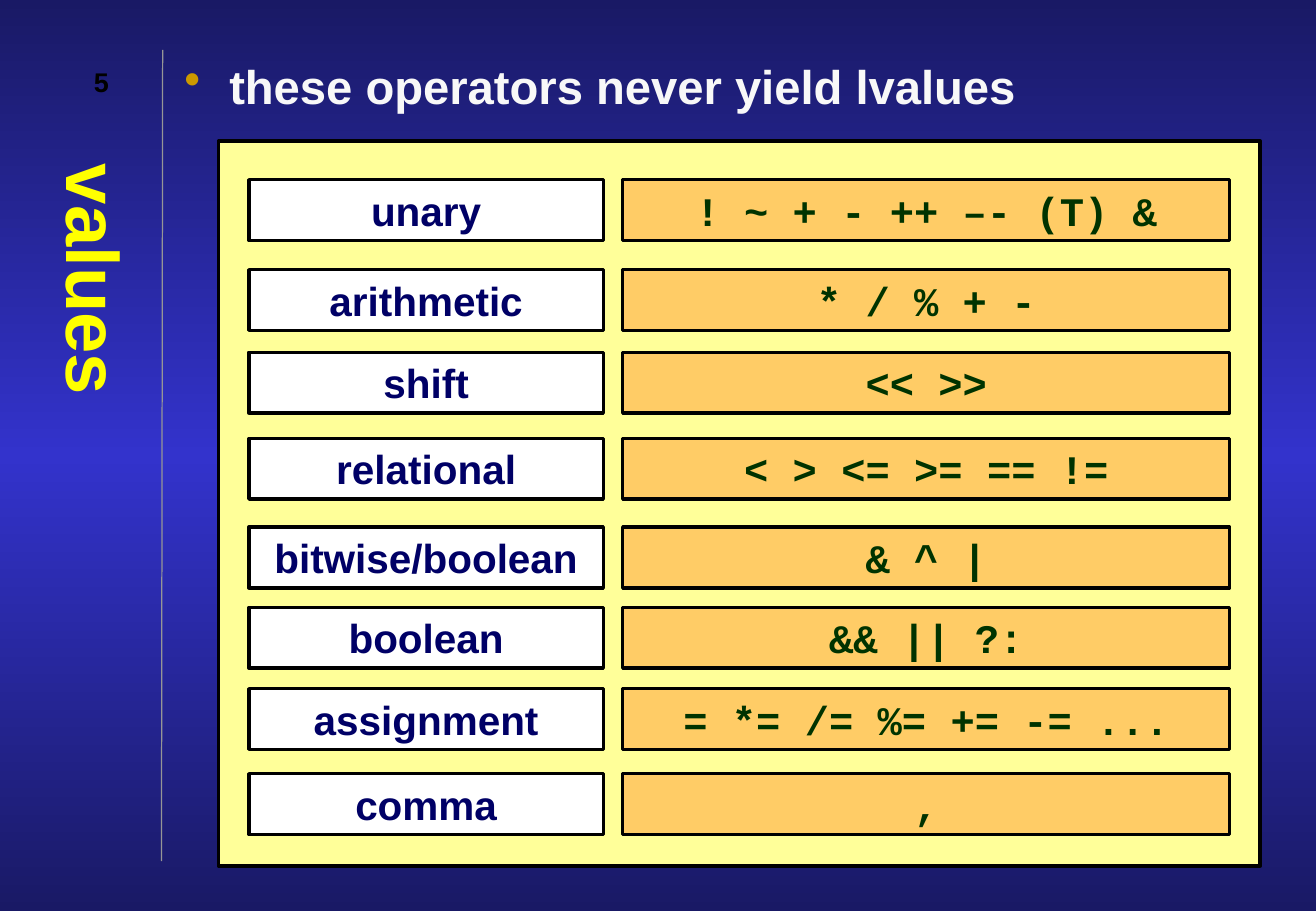
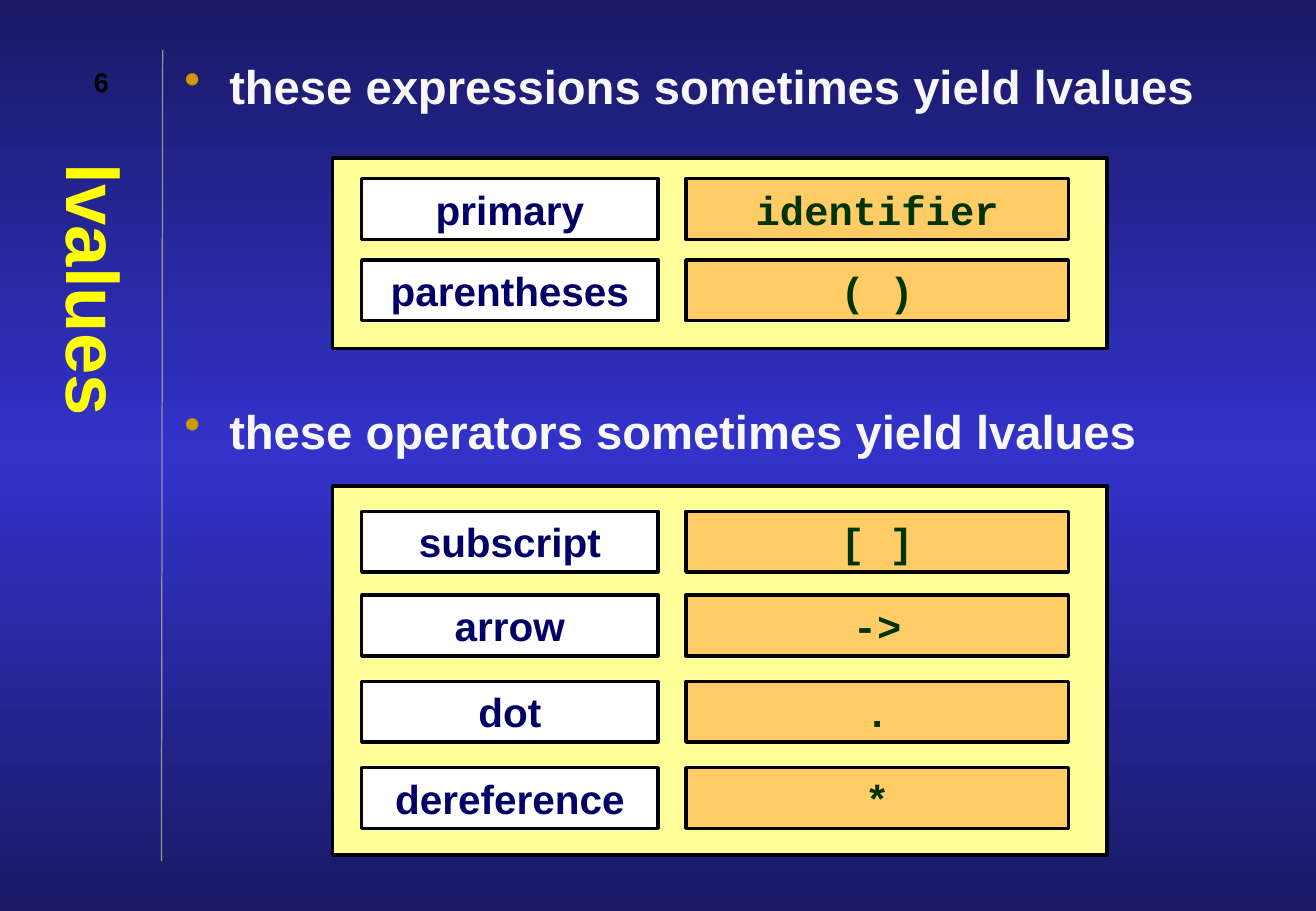
from copy import deepcopy

from pptx import Presentation
from pptx.dml.color import RGBColor
from pptx.enum.shapes import MSO_CONNECTOR, MSO_SHAPE
from pptx.enum.text import MSO_ANCHOR, PP_ALIGN
from pptx.oxml.ns import qn
from pptx.util import Emu, Pt

RECTANGLE = MSO_SHAPE.RECTANGLE
STRAIGHT = MSO_CONNECTOR.STRAIGHT
TOP, MIDDLE = MSO_ANCHOR.TOP, MSO_ANCHOR.MIDDLE
LEFT, CENTER = PP_ALIGN.LEFT, PP_ALIGN.CENTER

EMU_PER_PX = 9144
SLIDE_W, SLIDE_H = 1084, 750

SANS, MONO = "Arial", "Courier New"
EDGE_BLUE, MID_BLUE = "191965", "3333CC"
RULE_GREY, BLACK, WHITE = "969696", "000000", "FFFFFF"
TITLE_YELLOW, BULLET_GOLD, BODY_WHITE = "FFFF00", "CC9900", "F8F8F8"
PANEL_FILL, SYMBOL_FILL = "FFFF99", "FFCC66"
NAME_COLOR, SYMBOL_COLOR = "000066", "003300"

ROW_H = 50
HANGING = 37

# Columns are (left, width) of the name boxes and of the symbol boxes.
WIDE_COLUMNS = ((205, 292), (513, 500))
NARROW_COLUMNS = ((298, 244), (565, 315))

NEVER_LVALUES = [
    (148, "unary", "! ~ + - ++ –- (T) &"),
    (222, "arithmetic", "* / % + -"),
    (290, "shift", "<< >>"),
    (361, "relational", "< > <= >= == !="),
    (434, "bitwise/boolean", "& ^ |"),
    (500, "boolean", "&& || ?:"),
    (567, "assignment", "= *= /= %= += -= ..."),
    (637, "comma", ","),
]
LVALUE_EXPRESSIONS = [
    (147, "primary", "identifier"),
    (214, "parentheses", "( )"),
]
LVALUE_OPERATORS = [
    (421, "subscript", "[ ]"),
    (490, "arrow", "->"),
    (561, "dot", "."),
    (632, "dereference", "*"),
]


def px(length):
    return Emu(length * EMU_PER_PX)


def rgb(hex_color):
    return RGBColor.from_string(hex_color)


def set_background(master):
    """Give every slide a vertical gradient, dark at both edges."""
    fill = master.background.fill
    fill.gradient()
    fill.gradient_angle = 90
    stop_list = master.element.find(".//" + qn("a:gsLst"))
    stop_list.append(deepcopy(stop_list[-1]))
    stops = zip(fill.gradient_stops, (0, 0.5, 1), (EDGE_BLUE, MID_BLUE, EDGE_BLUE))
    for stop, position, color in stops:
        stop.position = position
        stop.color.rgb = rgb(color)


def add_run(paragraph, text, size, color, font=SANS):
    run = paragraph.add_run()
    run.text = text
    run.font.name = font
    run.font.size = Pt(size)
    run.font.bold = True
    run.font.color.rgb = rgb(color)


def set_frame(frame, anchor, align):
    frame.word_wrap = True
    frame.vertical_anchor = anchor
    frame.margin_left = frame.margin_right = px(10)
    frame.margin_top = frame.margin_bottom = px(5)
    frame.paragraphs[0].alignment = align


def add_text_frame(slide, box, anchor, align):
    frame = slide.shapes.add_textbox(*map(px, box)).text_frame
    set_frame(frame, anchor, align)
    return frame


def add_box(slide, box, fill):
    rectangle = slide.shapes.add_shape(RECTANGLE, *map(px, box))
    rectangle.shadow.inherit = False
    rectangle.fill.solid()
    rectangle.fill.fore_color.rgb = rgb(fill)
    rectangle.line.color.rgb = rgb(BLACK)
    rectangle.line.width = Pt(2)
    return rectangle


def add_label(slide, box, fill, text, color, font):
    frame = add_box(slide, box, fill).text_frame
    set_frame(frame, TOP, CENTER)
    add_run(frame.paragraphs[0], text, 24, color, font)


def add_panel(slide, box, columns, rows):
    """Draw a panel with one name box and one symbol box per row."""
    add_box(slide, box, PANEL_FILL)
    (name_x, name_w), (symbol_x, symbol_w) = columns
    for y, name, symbols in rows:
        add_label(slide, (name_x, y, name_w, ROW_H), WHITE, name, NAME_COLOR, SANS)
        add_label(slide, (symbol_x, y, symbol_w, ROW_H), SYMBOL_FILL,
                  symbols, SYMBOL_COLOR, MONO)


def add_rule(slide):
    rule = slide.shapes.add_connector(STRAIGHT, px(133), px(709), px(134), px(41))
    rule.line.color.rgb = rgb(RULE_GREY)
    rule.line.width = Pt(0.75)
    properties = rule._element.spPr
    properties.append(properties.makeelement(qn("a:effectLst"), {}))


def add_side_title(slide, title):
    frame = add_text_frame(slide, (33, 125, 92, 583), MIDDLE, CENTER)
    frame.margin_left = frame.margin_right = px(5)
    frame.margin_top = frame.margin_bottom = px(10)
    frame._txBody.bodyPr.set("vert", "eaVert")
    add_run(frame.paragraphs[0], title, 44, TITLE_YELLOW)


def set_bullet(paragraph):
    properties = paragraph._p.get_or_add_pPr()
    properties.set("marL", str(px(HANGING)))
    properties.set("indent", str(-px(HANGING)))
    color = properties.makeelement(qn("a:buClr"), {})
    color.append(color.makeelement(qn("a:srgbClr"), {"val": BULLET_GOLD}))
    properties.append(color)
    properties.append(properties.makeelement(qn("a:buChar"), {"char": "•"}))


def add_bullets(slide, statements, gap=0):
    """Write the statements, with gap points between them for a panel."""
    frame = add_text_frame(slide, (142, 42, 892, 667), TOP, LEFT)
    for index, statement in enumerate(statements):
        paragraph = frame.add_paragraph() if index else frame.paragraphs[0]
        if index:
            paragraph.space_before = Pt(gap)
        set_bullet(paragraph)
        add_run(paragraph, statement, 28, BODY_WHITE)


def add_slide(deck, number, title):
    slide = deck.slides.add_slide(deck.slide_layouts[6])
    add_rule(slide)
    add_side_title(slide, title)
    number_frame = add_text_frame(slide, (42, 42, 83, 50), MIDDLE, CENTER)
    add_run(number_frame.paragraphs[0], str(number), 16, BLACK)
    return slide


def build_values_slide(deck):
    slide = add_slide(deck, 5, "values")
    add_bullets(slide, ["these operators never yield lvalues"])
    add_panel(slide, (180, 116, 858, 597), WIDE_COLUMNS, NEVER_LVALUES)


def build_lvalues_slide(deck):
    slide = add_slide(deck, 6, "lvalues")
    add_bullets(slide, ["these expressions sometimes yield lvalues",
                        "these operators sometimes yield lvalues"], gap=171)
    add_panel(slide, (274, 130, 638, 157), NARROW_COLUMNS, LVALUE_EXPRESSIONS)
    add_panel(slide, (274, 400, 638, 304), NARROW_COLUMNS, LVALUE_OPERATORS)


def main():
    deck = Presentation()
    deck.slide_width, deck.slide_height = px(SLIDE_W), px(SLIDE_H)
    set_background(deck.slide_master)
    build_values_slide(deck)
    build_lvalues_slide(deck)
    deck.save("out.pptx")


if __name__ == "__main__":
    main()
